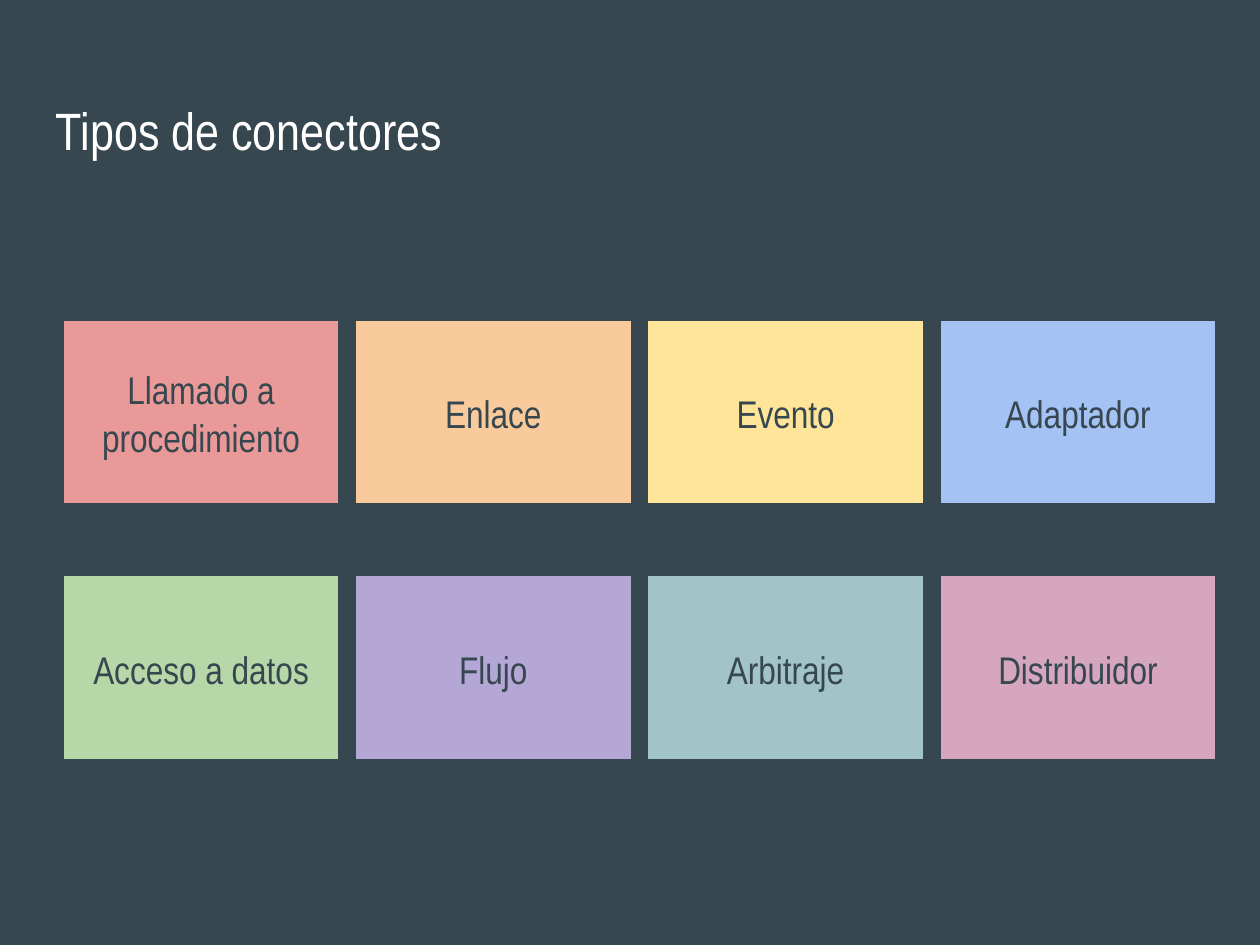
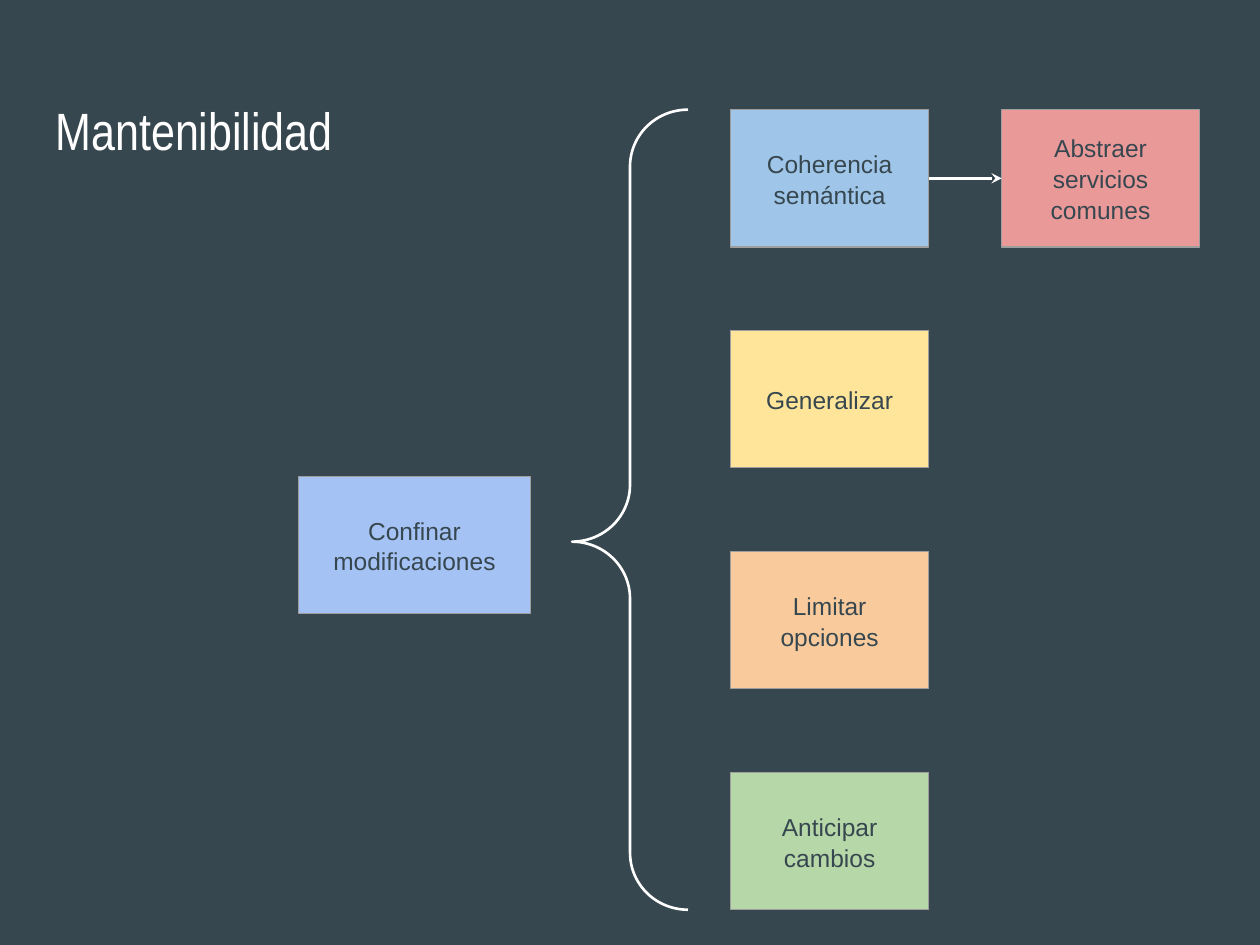
"""Build two slides on connector types and maintainability tactics."""
import pptx
import pptx.dml.color
import pptx.enum.shapes
import pptx.enum.text
import pptx.oxml
import pptx.oxml.ns
import pptx.util

Inches = pptx.util.Inches
Pt = pptx.util.Pt
RGBColor = pptx.dml.color.RGBColor
Shape = pptx.enum.shapes.MSO_SHAPE
Anchor = pptx.enum.text.MSO_ANCHOR
Align = pptx.enum.text.PP_ALIGN

SLATE = RGBColor(0x37, 0x47, 0x4F)
WHITE = RGBColor(0xFF, 0xFF, 0xFF)
GRAY = RGBColor(0x9E, 0x9E, 0x9E)
RED = RGBColor(0xEA, 0x99, 0x99)
ORANGE = RGBColor(0xF9, 0xCB, 0x9C)
YELLOW = RGBColor(0xFF, 0xE5, 0x99)
GREEN = RGBColor(0xB6, 0xD7, 0xA8)
BLUE = RGBColor(0xA4, 0xC2, 0xF4)
SKY = RGBColor(0x9F, 0xC5, 0xE8)
PURPLE = RGBColor(0xB4, 0xA7, 0xD6)
TEAL = RGBColor(0xA2, 0xC4, 0xC9)
PINK = RGBColor(0xD5, 0xA6, 0xBD)

NARROW = "Arial Narrow"
SANS = "Arial"

CONNECTOR_TYPES = [
    [("Llamado a procedimiento", RED), ("Enlace", ORANGE), ("Evento", YELLOW), ("Adaptador", BLUE)],
    [("Acceso a datos", GREEN), ("Flujo", PURPLE), ("Arbitraje", TEAL), ("Distribuidor", PINK)],
]
GOAL = ("Confinar modificaciones", BLUE)
TACTICS = [
    ("Coherencia semántica", SKY),
    ("Generalizar", YELLOW),
    ("Limitar opciones", ORANGE),
    ("Anticipar cambios", GREEN),
]
DERIVED_TACTIC = ("Abstraer servicios comunes", RED)

CARD_WIDTH, CARD_HEIGHT = 2.19, 1.46
CARD_LEFT, CARD_TOP = 0.5, 2.54
COLUMN_STEP, ROW_STEP = 2.32, 2.03
TACTIC_WIDTH, TACTIC_HEIGHT = 1.57, 1.09
TACTIC_LEFT, TACTIC_TOP, LAST_TACTIC_TOP = 5.8, 0.87, 6.13


def write(shape, text, font, size, color, align, anchor):
    frame = shape.text_frame
    frame.word_wrap = True
    frame.auto_size = pptx.enum.text.MSO_AUTO_SIZE.NONE
    frame.vertical_anchor = anchor
    frame.margin_left = frame.margin_right = Inches(0.1)
    frame.margin_top = frame.margin_bottom = Inches(0.1)
    para = frame.paragraphs[0]
    para.alignment = align
    para.line_spacing = 1.05
    span = para.add_run()
    span.text = text
    span.font.name = font
    span.font.size = Pt(size)
    span.font.color.rgb = color


def add_page(deck, title):
    page = deck.slides.add_slide(deck.slide_layouts.get_by_name("Title Only"))
    heading = page.shapes.title
    heading.left, heading.top = Inches(0.34), Inches(0.65)
    heading.width, heading.height = Inches(9.32), Inches(0.83)
    write(heading, title, NARROW, 30, WHITE, Align.LEFT, Anchor.TOP)
    return page


def add_box(page, item, left, top, width, height, border, font, size):
    text, color = item
    box = page.shapes.add_shape(
        Shape.RECTANGLE, Inches(left), Inches(top), Inches(width), Inches(height))
    box.shadow.inherit = False
    box.fill.solid()
    box.fill.fore_color.rgb = color
    box.line.color.rgb = border
    box.line.width = Pt(0.75)
    write(box, text, font, size, SLATE, Align.CENTER, Anchor.MIDDLE)
    return box


def add_tactic(page, item, left, top, width=TACTIC_WIDTH):
    return add_box(page, item, left, top, width, TACTIC_HEIGHT, GRAY, SANS, 14)


def style_line(line):
    line.color.rgb = WHITE
    line.width = Pt(1.5)


def add_brace(page):
    height = LAST_TACTIC_TOP + TACTIC_HEIGHT - TACTIC_TOP
    brace = page.shapes.add_shape(
        Shape.LEFT_BRACE, Inches(4.54), Inches(TACTIC_TOP), Inches(0.92), Inches(height))
    brace.shadow.inherit = False
    brace.adjustments[0] = 0.49
    brace.adjustments[1] = 0.54
    brace.fill.background()
    style_line(brace.line)


def add_arrow(page, source, target):
    arrow = page.shapes.add_connector(pptx.enum.shapes.MSO_CONNECTOR.STRAIGHT, 0, 0, 0, 0)
    arrow.begin_connect(source, 3)
    arrow.end_connect(target, 1)
    style_line(arrow.line)
    namespace = pptx.oxml.ns.nsdecls("a")
    arrow.line._get_or_add_ln().append(
        pptx.oxml.parse_xml(f'<a:tailEnd {namespace} type="stealth"/>'))
    arrow._element.spPr.append(pptx.oxml.parse_xml(f"<a:effectLst {namespace}/>"))


def build_connector_types(deck):
    page = add_page(deck, "Tipos de conectores")
    for row, items in enumerate(CONNECTOR_TYPES):
        for column, item in enumerate(items):
            add_box(page, item, CARD_LEFT + column * COLUMN_STEP, CARD_TOP + row * ROW_STEP,
                    CARD_WIDTH, CARD_HEIGHT, SLATE, NARROW, 22)


def build_maintainability(deck):
    page = add_page(deck, "Mantenibilidad")
    add_tactic(page, GOAL, 2.37, 3.78, 1.84)
    add_brace(page)
    step = (LAST_TACTIC_TOP - TACTIC_TOP) / (len(TACTICS) - 1)
    boxes = [add_tactic(page, item, TACTIC_LEFT, TACTIC_TOP + row * step)
             for row, item in enumerate(TACTICS)]
    derived = add_tactic(page, DERIVED_TACTIC, 7.95, TACTIC_TOP)
    add_arrow(page, boxes[0], derived)


def main():
    deck = pptx.Presentation()
    deck.slide_width, deck.slide_height = Inches(10), Inches(7.5)
    backdrop = deck.slide_master.background.fill
    backdrop.solid()
    backdrop.fore_color.rgb = SLATE
    build_connector_types(deck)
    build_maintainability(deck)
    deck.save("out.pptx")


if __name__ == "__main__":
    main()
